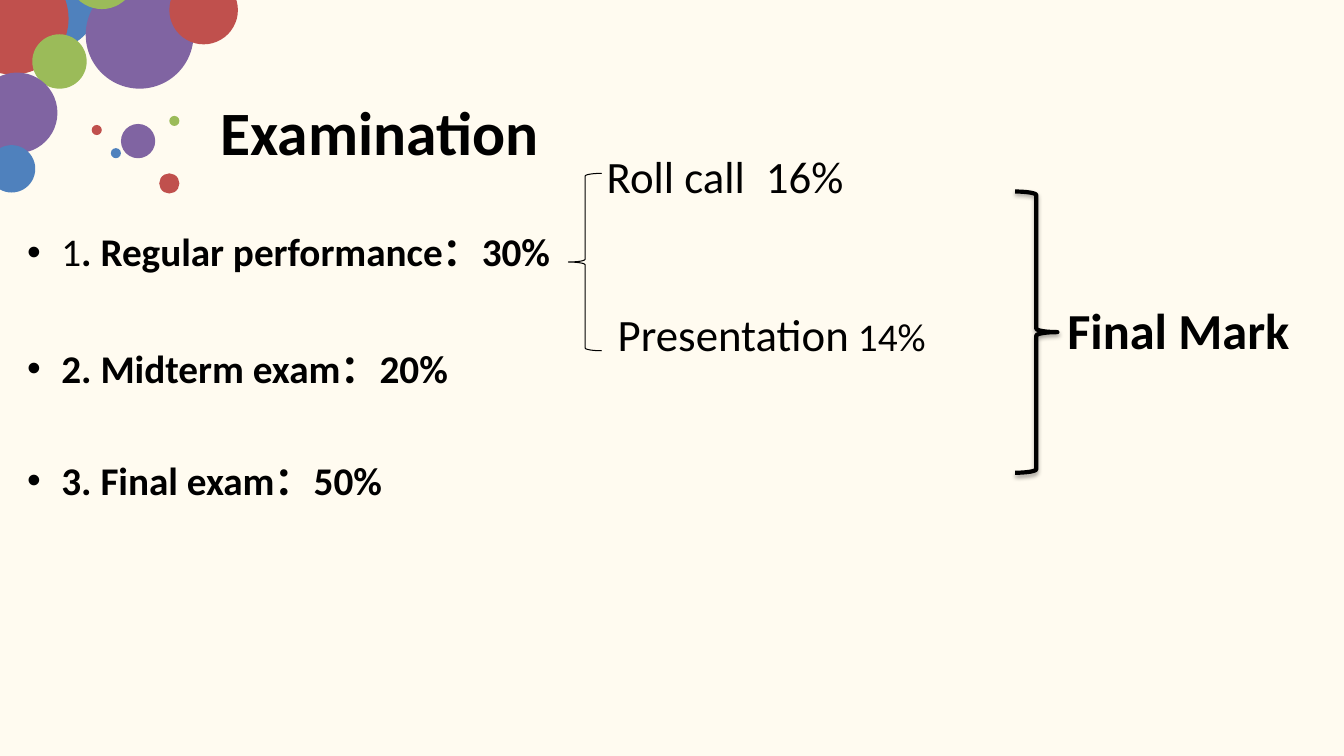
from lxml.etree import SubElement
from pptx import Presentation
from pptx.dml.color import RGBColor
from pptx.enum.shapes import MSO_SHAPE
from pptx.enum.text import MSO_ANCHOR
from pptx.oxml.ns import qn
from pptx.util import Inches, Pt

COLUMNS, ROWS = 133.33, 75
BLUE, RED, GREEN, PURPLE = "4F81BD", "C0504D", "9BBB59", "8064A2"
INK, PAPER = "000000", "FFFBF0"

BUBBLES = [
    (0.4, -4.4, 9.3, BLUE), (-4.3, -3.7, 11.1, RED), (3.2, 3.4, 5.4, GREEN),
    (-2.3, 7.2, 8, PURPLE), (8.5, -1.9, 10.7, PURPLE), (6.7, -5.9, 6.8, GREEN),
    (-1.2, 14.4, 4.7, BLUE), (12, 12.3, 3.4, PURPLE), (11, 14.7, 1, BLUE),
    (9.1, 12.4, 1, RED), (16.8, 11.5, 1, GREEN), (15.8, 17.2, 2, RED),
    (16.8, -2.4, 6.8, RED),
]


def color(value):
    return RGBColor.from_string(value)


class Deck:
    font = "Calibri"

    def __init__(self):
        self.presentation = Presentation()
        self.presentation.slide_width = Inches(13.33)
        self.presentation.slide_height = Inches(7.5)
        self.slide = self.presentation.slides.add_slide(self.presentation.slide_layouts[6])
        fill = self.slide.background.fill
        fill.solid()
        fill.fore_color.rgb = color(PAPER)

    def place(self, left, top, width, height):
        column = self.presentation.slide_width / COLUMNS
        row = self.presentation.slide_height / ROWS
        return [round(length) for length in (left * column, top * row, width * column, height * row)]

    def bubble(self, left, top, size, fill):
        shape = self.slide.shapes.add_shape(MSO_SHAPE.OVAL, *self.place(left, top, size, size))
        shape.shadow.inherit = False
        shape.fill.solid()
        shape.fill.fore_color.rgb = color(fill)
        shape.line.fill.background()

    def brace(self, kind, box, weight):
        shape = self.slide.shapes.add_shape(kind, *self.place(*box))
        shape.shadow.inherit = False
        shape.fill.background()
        shape.line.color.rgb = color(INK)
        shape.line.width = Pt(weight)
        shape.adjustments[0] = 0.083
        return shape

    def drop_shadow(self, shape, blur, distance, opacity):
        effects = shape.element.spPr.find(qn("a:effectLst"))
        shadow = SubElement(effects, qn("a:outerShdw"), blurRad=str(Pt(blur)),
                            dist=str(Pt(distance)), dir="5400000", rotWithShape="0")
        tint = SubElement(shadow, qn("a:srgbClr"), val=INK)
        SubElement(tint, qn("a:alpha"), val=str(opacity * 1000))

    def text(self, box, paragraphs, anchor=MSO_ANCHOR.TOP, bullets=False, tab=None, **layout):
        frame = self.slide.shapes.add_textbox(*self.place(*box)).text_frame
        frame.word_wrap = True
        frame.vertical_anchor = anchor
        for index, (space_before, runs) in enumerate(paragraphs):
            paragraph = frame.paragraphs[0] if index == 0 else frame.add_paragraph()
            for name, value in {"space_before": Pt(space_before), **layout}.items():
                setattr(paragraph, name, value)
            if bullets:
                self.bullet(paragraph)
            if tab:
                self.tab_stop(paragraph, tab)
            for words, size, bold in runs:
                run = paragraph.add_run()
                run.text = words
                style = {"name": self.font, "size": Pt(size), "bold": bold}
                for name, value in style.items():
                    setattr(run.font, name, value)
                run.font.color.rgb = color(INK)

    def bullet(self, paragraph):
        properties = paragraph._p.get_or_add_pPr()
        properties.set("marL", str(Inches(0.34)))
        properties.set("indent", str(-Inches(0.34)))
        tint = SubElement(properties, qn("a:buClr"))
        SubElement(tint, qn("a:srgbClr"), val=INK)
        SubElement(properties, qn("a:buFont"), typeface="Arial")
        SubElement(properties, qn("a:buChar"), char="•")

    def tab_stop(self, paragraph, position):
        stops = SubElement(paragraph._p.get_or_add_pPr(), qn("a:tabLst"))
        SubElement(stops, qn("a:tab"), pos=str(Inches(position)), algn="l")


def main():
    deck = Deck()
    for bubble in BUBBLES:
        deck.bubble(*bubble)

    deck.text((20.9, 6.2, 112, 14.5), [(0, [("Examination", 44, True)])],
              anchor=MSO_ANCHOR.MIDDLE, line_spacing=0.9)
    deck.text((1.7, 22.6, 115, 47.6), [
        (0, [("1", 28, False), (". Regular performance：30%", 28, True)]),
        (53, [("2. Midterm exam：20%", 28, True)]),
        (50, [("3. Final exam：50%", 28, True)]),
    ], bullets=True, line_spacing=0.9)

    final_brace = deck.brace(MSO_SHAPE.RIGHT_BRACE, (100.7, 19, 4.2, 27.9), 3)
    deck.drop_shadow(final_brace, 3.1, 1.8, 35)
    deck.text((104.9, 29.2, 28, 13), [(0, [("Final Mark", 36, True)])])

    deck.text((59.2, 14.3, 30.5, 11.6), [(0, [("Roll call\t16%", 32, False)])], tab=1.58)
    deck.text((60.3, 29.9, 35, 11),
              [(0, [("Presentation", 32, False), (" 14%", 28, False)])])
    deck.brace(MSO_SHAPE.LEFT_BRACE, (56.4, 17.2, 3.3, 17.6), 0.75)

    deck.presentation.save("out.pptx")


if __name__ == "__main__":
    main()
